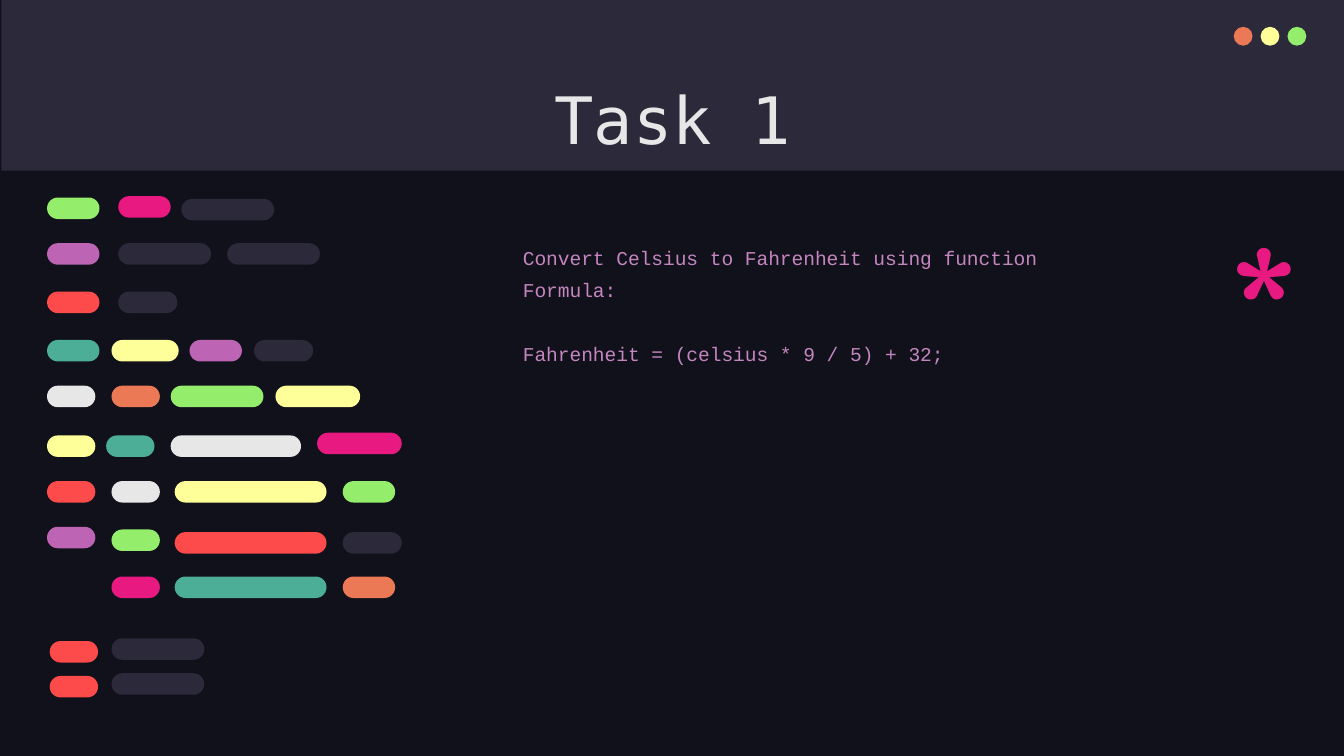
from pptx import Presentation
from pptx.dml.color import RGBColor
from pptx.enum.shapes import MSO_SHAPE
from pptx.enum.text import MSO_ANCHOR, MSO_AUTO_SIZE, PP_ALIGN
from pptx.util import Inches, Pt

RECT, OVAL, PILL = MSO_SHAPE.RECTANGLE, MSO_SHAPE.OVAL, MSO_SHAPE.ROUNDED_RECTANGLE
TOP, NO_FIT = MSO_ANCHOR.TOP, MSO_AUTO_SIZE.NONE
LEFT, CENTER = PP_ALIGN.LEFT, PP_ALIGN.CENTER

NIGHT, SLATE, WHITE, MAUVE = "10111A", "2C293A", "E7E7E7", "C586C0"
ORANGE, YELLOW, GREEN, PINK = "EC7955", "FFFF99", "94EE6B", "E81A81"
PURPLE, RED, TEAL = "BD64B5", "FD4A4A", "4CAE97"

BAR = 0.16
CODE = [
    [(0, 0.01, 0.39, GREEN), (0.53, 0, 0.39, PINK), (1, 0.02, 0.69, SLATE)],
    [(0, 0.35, 0.39, PURPLE), (0.53, 0.35, 0.69, SLATE), (1.34, 0.35, 0.69, SLATE)],
    [(0, 0.71, 0.39, RED), (0.53, 0.71, 0.44, SLATE)],
    [(0, 1.07, 0.39, TEAL), (0.48, 1.07, 0.5, YELLOW),
     (1.06, 1.07, 0.39, PURPLE), (1.54, 1.07, 0.44, SLATE)],
    [(0, 1.41, 0.36, WHITE), (0.48, 1.41, 0.36, ORANGE),
     (0.92, 1.41, 0.69, GREEN), (1.7, 1.41, 0.63, YELLOW)],
    [(0, 1.78, 0.36, YELLOW), (0.44, 1.78, 0.36, TEAL),
     (0.92, 1.78, 0.97, WHITE), (2.01, 1.76, 0.63, PINK)],
    [(0, 2.12, 0.36, RED), (0.48, 2.12, 0.36, WHITE),
     (0.95, 2.12, 1.13, YELLOW), (2.2, 2.12, 0.39, GREEN)],
    [(0, 2.46, 0.36, PURPLE), (0.48, 2.48, 0.36, GREEN),
     (0.95, 2.5, 1.13, RED), (2.2, 2.5, 0.44, SLATE)],
    [(0.48, 2.83, 0.36, PINK), (0.95, 2.83, 1.13, TEAL), (2.2, 2.83, 0.39, ORANGE)],
    [(0.02, 3.31, 0.36, RED), (0.48, 3.29, 0.69, SLATE)],
    [(0.02, 3.57, 0.36, RED), (0.48, 3.55, 0.69, SLATE)],
]
TASK = [
    "Convert Celsius to Fahrenheit using function",
    "Formula:",
    "Fahrenheit = (celsius * 9 / 5) + 32;",
]


def paint(hue):
    """Turn a hex string into a colour."""
    return RGBColor.from_string(hue)


def block(shapes, kind, box, hue):
    """Add a plain filled shape without line or shadow."""
    shape = shapes.add_shape(kind, *map(Inches, box))
    shape.shadow.inherit = False
    shape.fill.solid()
    shape.fill.fore_color.rgb = paint(hue)
    shape.line.fill.background()
    return shape


def write(holder, box, lines, font, size, hue, align=LEFT, gap=1.0):
    """Place a text holder and fill it with styled lines."""
    holder.left, holder.top, holder.width, holder.height = map(Inches, box)
    frame = holder.text_frame
    frame.word_wrap, frame.auto_size = True, NO_FIT
    frame.vertical_anchor = TOP
    frame.margin_left = frame.margin_right = Inches(0.1)
    frame.margin_top = frame.margin_bottom = Inches(0.1)
    frame.text = "\n".join(lines)
    for para in frame.paragraphs:
        para.alignment, para.line_spacing = align, gap
        para.space_before = para.space_after = Pt(0)
        para.font.name, para.font.size = font, Pt(size)
        para.font.color.rgb = paint(hue)


def header(slide, left, top, width, height):
    """Draw the top band, its window dots and the title."""
    block(slide.shapes, RECT, (left, top, width, height), SLATE)
    dots = slide.shapes.add_group_shape()
    for i, hue in enumerate((ORANGE, YELLOW, GREEN)):
        block(dots.shapes, OVAL, (left + 9.17 + 0.2 * i, top + 0.2, 0.14, 0.14), hue)
    title = slide.shapes.title
    title.element.getparent().append(title.element)
    write(title, (left + 0.78, top + 0.49, 8.43, 0.63), ["Task 1"],
          "DejaVu Sans Mono", 35, WHITE, CENTER)


def code(slide, left, top):
    """Draw rows of rounded bars, each given as left, top, width and colour."""
    group = slide.shapes.add_group_shape()
    for row in CODE:
        for x, y, width, hue in row:
            bar = block(group.shapes, PILL, (left + x, top + y, width, BAR), hue)
            bar.adjustments[0] = 0.5


def task(slide, left, top, width, height):
    """Write the task text and the large asterisk to its right."""
    body = slide.placeholders[1]
    write(body, (left, top, width, height), TASK, "Courier New", 10.5, MAUVE, gap=1.36)
    body.text_frame.paragraphs[-1].space_before = Pt(17.1)
    star = slide.shapes.add_textbox(0, 0, 0, 0)
    write(star, (left + 5.26, top - 0.21, 0.57, 0.87), ["*"], "Comfortaa", 96, PINK)


def main():
    """Build and save the slide."""
    deck = Presentation()
    deck.slide_width = Inches(10)
    deck.slide_height = deck.slide_width * 9 // 16
    slide = deck.slides.add_slide(deck.slide_layouts[0])
    slide.background.fill.solid()
    slide.background.fill.fore_color.rgb = paint(NIGHT)
    header(slide, 0.01, 0, 10, 1.27)
    task(slide, 3.79, 1.67, 5.43, 3.73)
    code(slide, 0.35, 1.46)
    deck.save("out.pptx")


if __name__ == "__main__":
    main()
